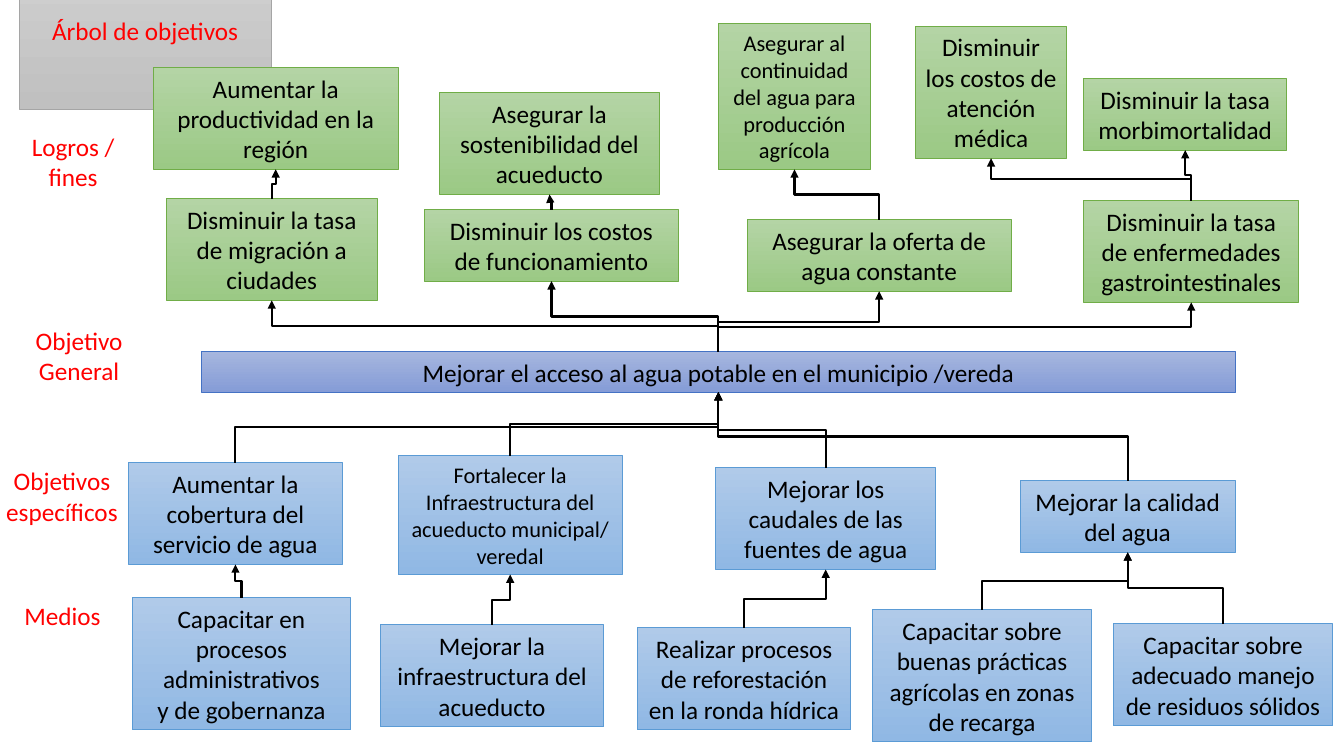
from dataclasses import dataclass

import pptx
import pptx.dml.color
import pptx.enum.shapes
import pptx.enum.text
import pptx.oxml
import pptx.oxml.ns
import pptx.util
from pptx.util import Inches


@dataclass(frozen=True)
class Tone:
    top: str
    bottom: str
    border: str
    border_width: float = 0.75


@dataclass(frozen=True)
class Theme:
    font: str = "Calibri"
    body_size: int = 18
    small_size: int = 16
    ink: str = "000000"
    accent: str = "FF0000"
    arrow_width: float = 1.5
    heading: Tone = Tone("D2D2D2", "C0C0C0", "A5A5A5", 0.5)
    general: Tone = Tone("A6B6DE", "859CD7", "4472C4")
    means: Tone = Tone("B0CAE9", "90B8E4", "5B9BD5")
    ends: Tone = Tone("B4D4A5", "9BC985", "70AD47")


THEME = Theme()


@dataclass(frozen=True)
class Box:
    key: str
    text: str
    left: float
    top: float
    width: float
    height: float
    tone: Tone
    size: int = THEME.body_size


@dataclass(frozen=True)
class Label:
    text: str
    left: float
    top: float
    width: float
    height: float


HEADING = Box("árbol", "Árbol de objetivos", 0.19, 0.1, 2.5, 0.4, THEME.heading)

BOXES = [
    # Achievements
    Box("productividad", "Aumentar la productividad en la región", 1.52, 0.67, 2.43, 1.01, THEME.ends),
    Box("sostenibilidad", "Asegurar la sostenibilidad del acueducto", 4.36, 0.92, 2.18, 1.01, THEME.ends),
    Box("continuidad", "Asegurar al continuidad del agua para producción agrícola",
        7.13, 0.23, 1.5, 1.45, THEME.ends, THEME.small_size),
    Box("atención", "Disminuir los costos de atención médica", 9.08, 0.26, 1.5, 1.31, THEME.ends),
    Box("morbimortalidad", "Disminuir la tasa morbimortalidad", 10.75, 0.78, 2.01, 0.71, THEME.ends),
    Box("migración", "Disminuir la tasa de migración a ciudades", 1.65, 1.97, 2.09, 1.01, THEME.ends),
    Box("funcionamiento", "Disminuir los costos de funcionamiento", 4.21, 2.08, 2.52, 0.71, THEME.ends),
    Box("oferta", "Asegurar la oferta de agua constante", 7.41, 2.18, 2.62, 0.71, THEME.ends),
    Box("enfermedades", "Disminuir la tasa de enfermedades gastrointestinales",
        10.75, 1.99, 2.13, 1.01, THEME.ends),
    # General objective
    Box("acceso", "Mejorar el acceso al agua potable en el municipio /vereda",
        2, 3.49, 10.25, 0.4, THEME.general),
    # Specific objectives
    Box("cobertura", "Aumentar la cobertura del servicio de agua", 1.27, 4.59, 2.13, 1.01, THEME.means),
    Box("fortalecer", "Fortalecer la Infraestructura del acueducto municipal/ veredal",
        3.95, 4.52, 2.22, 1.18, THEME.means, THEME.small_size),
    Box("caudales", "Mejorar los caudales de las fuentes de agua", 7.1, 4.64, 2.18, 1.01, THEME.means),
    Box("calidad", "Mejorar la calidad del agua", 10.12, 4.77, 2.13, 0.71, THEME.means),
    # Means
    Box("gobernanza", "Capacitar en procesos administrativos\ny de gobernanza",
        1.31, 5.93, 2.17, 1.31, THEME.means),
    Box("infraestructura", "Mejorar la infraestructura del acueducto", 3.77, 6.2, 2.22, 1.01, THEME.means),
    Box("reforestación", "Realizar procesos de reforestación en la ronda hídrica",
        6.32, 6.23, 2.12, 1.01, THEME.means),
    Box("prácticas", "Capacitar sobre buenas prácticas agrícolas en zonas de recarga",
        8.65, 6.05, 2.18, 1.31, THEME.means),
    Box("residuos", "Capacitar sobre adecuado manejo de residuos sólidos",
        11.04, 6.19, 2.18, 1.01, THEME.means),
]

# Each lower box and the boxes it leads up to
LEADS_TO = {
    "gobernanza": ["cobertura"],
    "infraestructura": ["fortalecer"],
    "reforestación": ["caudales"],
    "prácticas": ["calidad"],
    "residuos": ["calidad"],
    "cobertura": ["acceso"],
    "fortalecer": ["acceso"],
    "caudales": ["acceso"],
    "calidad": ["acceso"],
    "acceso": ["migración", "funcionamiento", "oferta", "enfermedades"],
    "migración": ["productividad"],
    "funcionamiento": ["sostenibilidad"],
    "oferta": ["continuidad"],
    "enfermedades": ["atención", "morbimortalidad"],
}

LEVELS = [
    Label("Logros / fines", 0.08, 1.25, 1.29, 0.71),
    Label("Objetivo General", 0, 3.18, 1.57, 0.71),
    Label("Objetivos específicos", -0.17, 4.57, 1.57, 0.71),
    Label("Medios", 0.02, 5.91, 1.2, 0.4),
]


def rgb(value: str) -> pptx.dml.color.RGBColor:
    return pptx.dml.color.RGBColor.from_string(value)


def apply(target: object, values: dict) -> None:
    for name, value in values.items():
        setattr(target, name, value)


def write(shape, text: str, size: int, color: str, anchor) -> None:
    frame = shape.text_frame
    frame.text = text
    apply(frame, {
        "word_wrap": True,
        "auto_size": pptx.enum.text.MSO_AUTO_SIZE.SHAPE_TO_FIT_TEXT,
        "vertical_anchor": anchor,
        "margin_left": Inches(0.1), "margin_right": Inches(0.1),
        "margin_top": Inches(0.05), "margin_bottom": Inches(0.05),
    })
    for paragraph in frame.paragraphs:
        apply(paragraph, {"alignment": pptx.enum.text.PP_ALIGN.CENTER, "line_spacing": 1.0})
        for run in paragraph.runs:
            apply(run.font, {"name": THEME.font, "size": pptx.util.Pt(size)})
            run.font.color.rgb = rgb(color)


def style_box(shape, box: Box, color: str) -> None:
    apply(shape, {"left": Inches(box.left), "top": Inches(box.top),
                  "width": Inches(box.width), "height": Inches(box.height)})
    shape.shadow.inherit = False
    shape.fill.gradient()
    shape.fill.gradient_angle = 270
    for stop, tint in zip(shape.fill.gradient_stops, (box.tone.top, box.tone.bottom)):
        stop.color.rgb = rgb(tint)
    shape.line.color.rgb = rgb(box.tone.border)
    shape.line.width = pptx.util.Pt(box.tone.border_width)
    write(shape, box.text, box.size, color, pptx.enum.text.MSO_ANCHOR.MIDDLE)


def draw_box(slide, box: Box):
    shape = slide.shapes.add_shape(pptx.enum.shapes.MSO_SHAPE.RECTANGLE, 0, 0, 0, 0)
    style_box(shape, box, THEME.ink)
    return shape


def draw_label(slide, label: Label) -> None:
    shape = slide.shapes.add_textbox(Inches(label.left), Inches(label.top),
                                     Inches(label.width), Inches(label.height))
    write(shape, label.text, THEME.body_size, THEME.accent, pptx.enum.text.MSO_ANCHOR.TOP)


def draw_arrow(slide, lower, upper) -> None:
    """Join the top of the lower box to the bottom of the upper one."""
    arrow = slide.shapes.add_connector(pptx.enum.shapes.MSO_CONNECTOR.ELBOW, 0, 0, 0, 0)
    arrow.begin_connect(lower, 0)
    arrow.end_connect(upper, 2)
    start_x, end_x = lower.left + lower.width // 2, upper.left + upper.width // 2
    start_y, end_y = lower.top, upper.top + upper.height
    rise, run = start_y - end_y, abs(end_x - start_x)
    # A quarter turn makes the elbow leave and arrive vertically
    apply(arrow, {"left": (start_x + end_x - rise) // 2, "top": (start_y + end_y - run) // 2,
                  "width": rise, "height": run})
    properties = arrow._element.spPr
    apply(properties.xfrm, {"rot": 270.0, "flipH": False, "flipV": end_x < start_x})
    arrow.line.color.rgb = rgb(THEME.ink)
    arrow.line.width = pptx.util.Pt(THEME.arrow_width)
    head = pptx.oxml.parse_xml(f'<a:tailEnd {pptx.oxml.ns.nsdecls("a")} type="triangle"/>')
    arrow.line._get_or_add_ln().append(head)
    properties.append(pptx.oxml.parse_xml(f'<a:effectLst {pptx.oxml.ns.nsdecls("a")}/>'))


def main() -> None:
    deck = pptx.Presentation()
    apply(deck, {"slide_width": Inches(13.33), "slide_height": Inches(7.5)})
    slide = deck.slides.add_slide(deck.slide_layouts[5])
    style_box(slide.shapes.title, HEADING, THEME.accent)
    objectives = {box.key: draw_box(slide, box) for box in BOXES}
    for lower, uppers in LEADS_TO.items():
        for upper in uppers:
            draw_arrow(slide, objectives[lower], objectives[upper])
    for level in LEVELS:
        draw_label(slide, level)
    deck.save("out.pptx")


if __name__ == "__main__":
    main()
